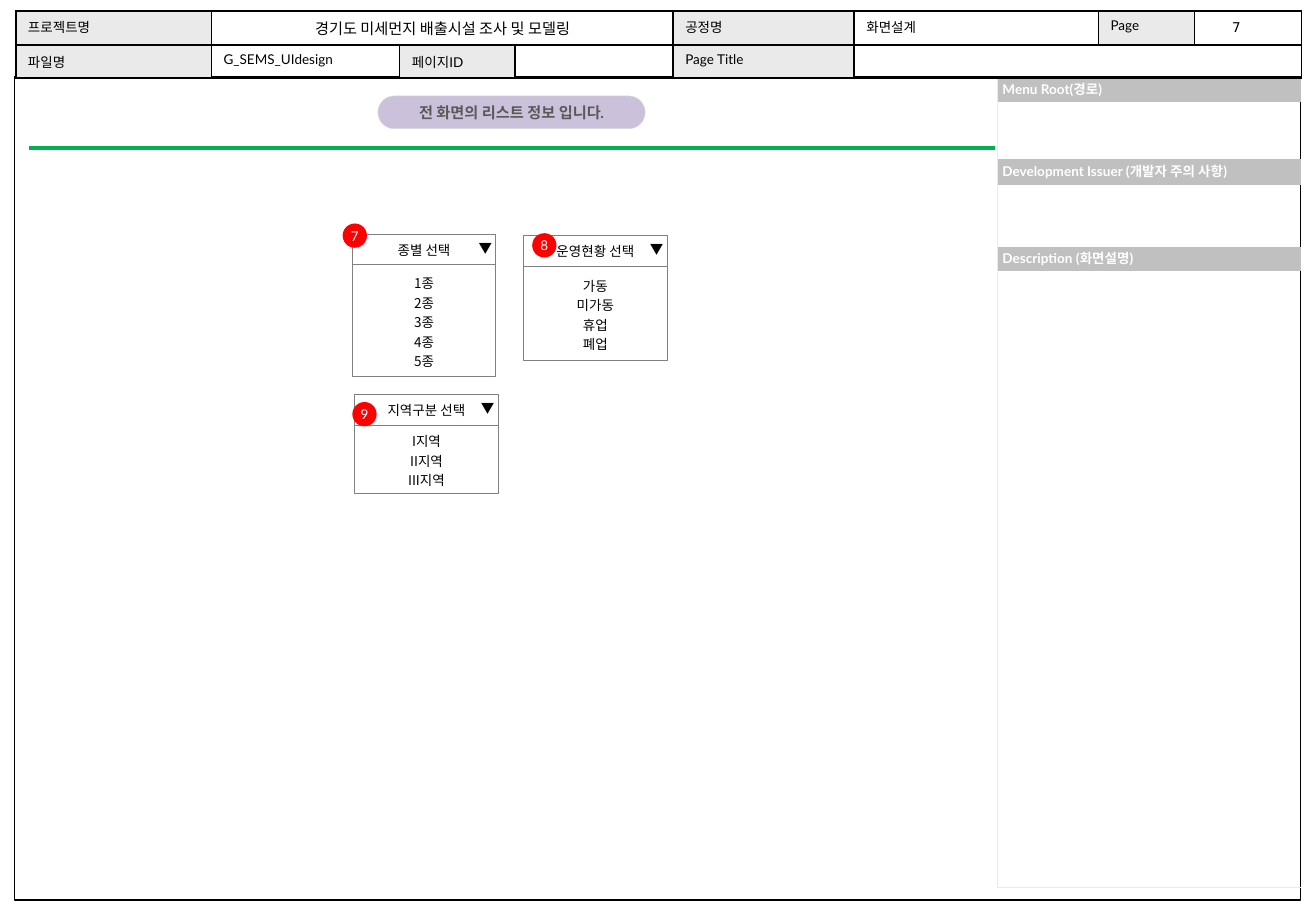
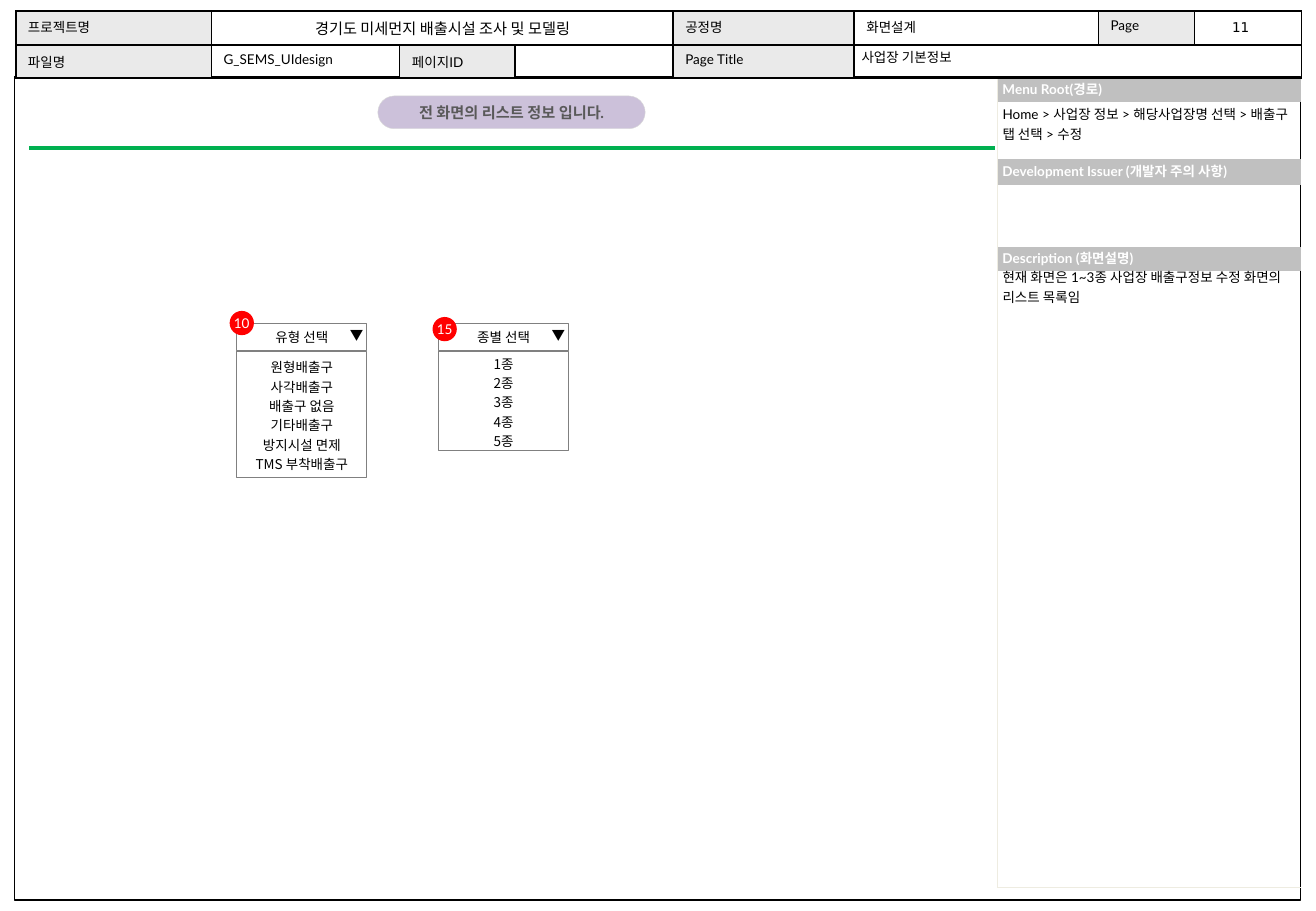
from dataclasses import dataclass

from lxml import etree
from pptx import Presentation
from pptx import util as u
from pptx.dml.color import RGBColor
from pptx.enum import shapes, text
from pptx.oxml import ns

Inches, Pt = u.Inches, u.Pt
LEFT, CENTER = text.PP_ALIGN.LEFT, text.PP_ALIGN.CENTER
TOP, MIDDLE = text.MSO_ANCHOR.TOP, text.MSO_ANCHOR.MIDDLE


@dataclass(frozen=True)
class Theme:
    black: str = "000000"
    white: str = "FFFFFF"
    label: str = "EAEAEA"
    section: str = "C0C0C0"
    side_line: str = "EEECE1"
    rule: str = "00B050"
    pill: str = "CCC1DA"
    pill_line: str = "D9D9D9"
    heading: str = "595959"
    box_line: str = "808080"
    badge: str = "FF0000"
    font: str = "Lato"
    korean: str = "Noto Sans CJK KR"
    number: str = "DejaVu Sans"
    small: int = 8
    medium: int = 9
    inset: float = 0.04


T = Theme()

# Shared content
HEADING = "전 화면의 리스트 정보 입니다."
PROJECT = "경기도 미세먼지 배출시설 조사 및 모델링"
HEADER_ROWS = [
    ["프로젝트명", PROJECT, "", "", "공정명", "화면설계", "Page", ""],
    ["파일명", "G_SEMS_UIdesign", "페이지ID", "", "Page Title", "", "", ""],
]
HEADER_LABELS = {"프로젝트명", "공정명", "Page", "파일명", "페이지ID", "Page Title"}
HEADER_COLS = [1.61, 1.55, 0.95, 1.3, 1.49, 2.01, 0.79, 0.88]
HEADER_HEIGHTS = [0.28, 0.27]
HEADER_MERGES = [(0, 1, 3), (1, 5, 7)]
SIDE_ROWS = [  # text, height, line spacing
    ("Menu Root(경로)", 0.19, 0.75),
    ("", 0.47, 1),
    ("Development Issuer (개발자 주의 사항)", 0.21, 0.8),
    ("", 0.51, 1),
    ("Description (화면설명)", 0.2, 0.75),
    ("", 5.07, 1),
]

# Content of each slide
GRADES = ["1종", "2종", "3종", "4종", "5종"]
OUTLETS = ["원형배출구", "사각배출구", "배출구 없음", "기타배출구",
           "방지시설 면제", "TMS 부착배출구"]
SLIDES = [
    {
        "page": "7",
        "notes": [],
        "dropdown": (1.18, 0.25),  # width, head height
        "lists": [  # label, options, left, top, body height, badge, badge place
            ("종별 선택", GRADES, 2.9, 1.93, 0.92, "7", (2.82, 1.84)),
            ("지역구분 선택", ["I지역", "II지역", "III지역"],
             2.92, 3.25, 0.56, "9", (2.9, 3.31)),
            ("운영현황 선택", ["가동", "미가동", "휴업", "폐업"],
             4.31, 1.94, 0.78, "8", (4.38, 1.92)),
        ],
    },
    {
        "page": "11",
        "notes": [  # text, left, top, height
            ("현재 화면은 1~3종 사업장 배출구정보 수정 화면의 리스트 목록임", 8.21, 2.15, 0.55),
            ("Home > 사업장 정보 > 해당사업장명 선택 > 배출구 탭 선택 > 수정", 8.21, 0.81, 0.39),
            ("사업장 기본정보", 7.05, 0.34, 0.23),
        ],
        "dropdown": (1.07, 0.23),
        "lists": [
            ("유형 선택", OUTLETS, 1.95, 2.66, 1.04, "10", (1.89, 2.56)),
            ("종별 선택", GRADES, 3.61, 2.66, 0.82, "15", (3.56, 2.61)),
        ],
    },
]


def rgb(value):
    return RGBColor.from_string(value)


def place(*lengths):
    return [Inches(n) for n in lengths]


def style(paragraph, size=T.small, font=T.font, color=T.black, bold=False,
          align=LEFT, spacing=1, before=0):
    paragraph.alignment = align
    paragraph.line_spacing = spacing
    paragraph.space_before = Pt(before)
    paragraph.font.size = Pt(size)
    paragraph.font.name = font
    paragraph.font.bold = bold
    paragraph.font.color.rgb = rgb(color)


def write(shape, lines, anchor=MIDDLE, inset=T.inset, wrap=True, **look):
    frame = shape.text_frame
    frame.auto_size = text.MSO_AUTO_SIZE.NONE
    frame.word_wrap = wrap
    frame.vertical_anchor = anchor
    frame.margin_left = frame.margin_right = Inches(inset)
    frame.margin_top = frame.margin_bottom = Inches(T.inset)
    frame.text = "\n".join(lines)
    for paragraph in frame.paragraphs:
        style(paragraph, **look)


def add_box(slide, kind, at, fill=None, line=None, width=0.5):
    box = slide.shapes.add_shape(kind, *place(*at))
    box.shadow.inherit = False
    if fill:
        box.fill.solid()
        box.fill.fore_color.rgb = rgb(fill)
    else:
        box.fill.background()
    if line:
        box.line.color.rgb = rgb(line)
        box.line.width = Pt(width)
    else:
        box.line.fill.background()
    return box


def add_text(slide, at, content, **look):
    write(slide.shapes.add_textbox(*place(*at)), [content], anchor=TOP, **look)


def add_grid(slide, left, top, cols, rows):
    frame = slide.shapes.add_table(len(rows), len(cols),
                                   *place(left, top, sum(cols), sum(rows)))
    grid = frame.table
    grid.first_row = grid.horz_banding = False
    style_id = grid._tbl.tblPr.find(ns.qn("a:tableStyleId"))
    style_id.text = "{2D5ABB26-0587-4C30-8999-92F81FD0307C}"
    for column, width in zip(grid.columns, cols):
        column.width = Inches(width)
    for row, height in zip(grid.rows, rows):
        row.height = Inches(height)
    return grid


def finish_cell(cell, sides, line, width, fill):
    props = cell._tc.get_or_add_tcPr()
    for side in sides:
        edge = etree.SubElement(props, ns.qn(f"a:ln{side}"), w=str(Pt(width)))
        solid = etree.SubElement(edge, ns.qn("a:solidFill"))
        etree.SubElement(solid, ns.qn("a:srgbClr"), val=line)
    if fill:
        cell.fill.solid()
        cell.fill.fore_color.rgb = rgb(fill)
    else:
        cell.fill.background()


def add_side_table(slide):
    grid = add_grid(slide, 8.21, 0.64, [2.5], [row[1] for row in SIDE_ROWS])
    for i, (label, _, spacing) in enumerate(SIDE_ROWS):
        cell = grid.cell(i, 0)
        cell.text = label
        cell.vertical_anchor = MIDDLE
        cell.margin_left = cell.margin_right = Inches(T.inset)
        cell.margin_top = cell.margin_bottom = Inches(T.inset)
        style(cell.text_frame.paragraphs[0], color=T.white, bold=True,
              spacing=spacing, before=1.6)
        sides = "LB" if i == len(SIDE_ROWS) - 1 else "L"
        finish_cell(cell, sides, T.side_line, 0.25, T.section if label else None)


def add_header_table(slide):
    grid = add_grid(slide, 0.13, 0.09, HEADER_COLS, HEADER_HEIGHTS)
    for r, row in enumerate(HEADER_ROWS):
        for c, label in enumerate(row):
            cell = grid.cell(r, c)
            cell.text = label
            main = label == PROJECT
            style(cell.text_frame.paragraphs[0], before=1.6,
                  size=T.medium if main else T.small,
                  align=CENTER if main else LEFT)
            finish_cell(cell, "LRTB", T.black, 1,
                        T.label if label in HEADER_LABELS else None)
    for r, first, last in HEADER_MERGES:
        grid.cell(r, first).merge(grid.cell(r, last))


def add_heading(slide):
    at = (3.11, 0.79, 2.2, 0.27)
    pill = add_box(slide, shapes.MSO_SHAPE.ROUNDED_RECTANGLE, at,
                   T.pill, T.pill_line, 0.25)
    pill.adjustments[0] = 0.5
    title = slide.shapes.title
    title.left, title.top, title.width, title.height = place(*at)
    write(title, [HEADING], size=T.medium, color=T.heading, bold=True, align=CENTER)
    pill._element.addnext(title._element)  # text in front of the pill


def add_shared(slide, page):
    add_box(slide, shapes.MSO_SHAPE.RECTANGLE, (0.12, 0.63, 10.58, 6.78),
            line=T.black, width=0.75)
    add_side_table(slide)
    add_header_table(slide)
    add_text(slide, (10.1, 0.05, 0.27, 0.25), page, font=T.number, spacing=1.5)
    rule = slide.shapes.add_connector(shapes.MSO_CONNECTOR.STRAIGHT,
                                      *place(0.24, 1.22, 8.19, 1.22))
    rule.line.color.rgb = rgb(T.rule)
    rule.line.width = Pt(2.5)
    etree.SubElement(rule._element.spPr, ns.qn("a:effectLst"))
    add_heading(slide)


def add_dropdown(slide, size, label, options, left, top, body_height):
    width, head_height = size
    parts = [([label], top, head_height, 1),
             (options, top + head_height, body_height, 1.2)]
    for lines, y, height, spacing in parts:
        box = add_box(slide, shapes.MSO_SHAPE.RECTANGLE, (left, y, width, height),
                      T.white, T.box_line)
        write(box, lines, font=T.korean, align=CENTER, spacing=spacing)
    arrow_top = top + (head_height - 0.24) / 2
    add_text(slide, (left + width - 0.24, arrow_top, 0.31, 0.24), "▼",
             inset=0.1, font=T.korean)


def add_badge(slide, number, spot):
    badge = add_box(slide, shapes.MSO_SHAPE.OVAL, (*spot, 0.2, 0.2), T.badge)
    write(badge, [number], wrap=False, color=T.white, align=CENTER)


def main():
    deck = Presentation()
    deck.slide_width, deck.slide_height = place(10.83, 7.5)
    for content in SLIDES:
        slide = deck.slides.add_slide(deck.slide_layouts[5])
        add_shared(slide, content["page"])
        for note, left, top, height in content["notes"]:
            add_text(slide, (left, top, 2.48, height), note, spacing=1.2)
        for *dropdown, _, _ in content["lists"]:
            add_dropdown(slide, content["dropdown"], *dropdown)
        for *_, number, spot in content["lists"]:
            add_badge(slide, number, spot)
    deck.save("out.pptx")


if __name__ == "__main__":
    main()
